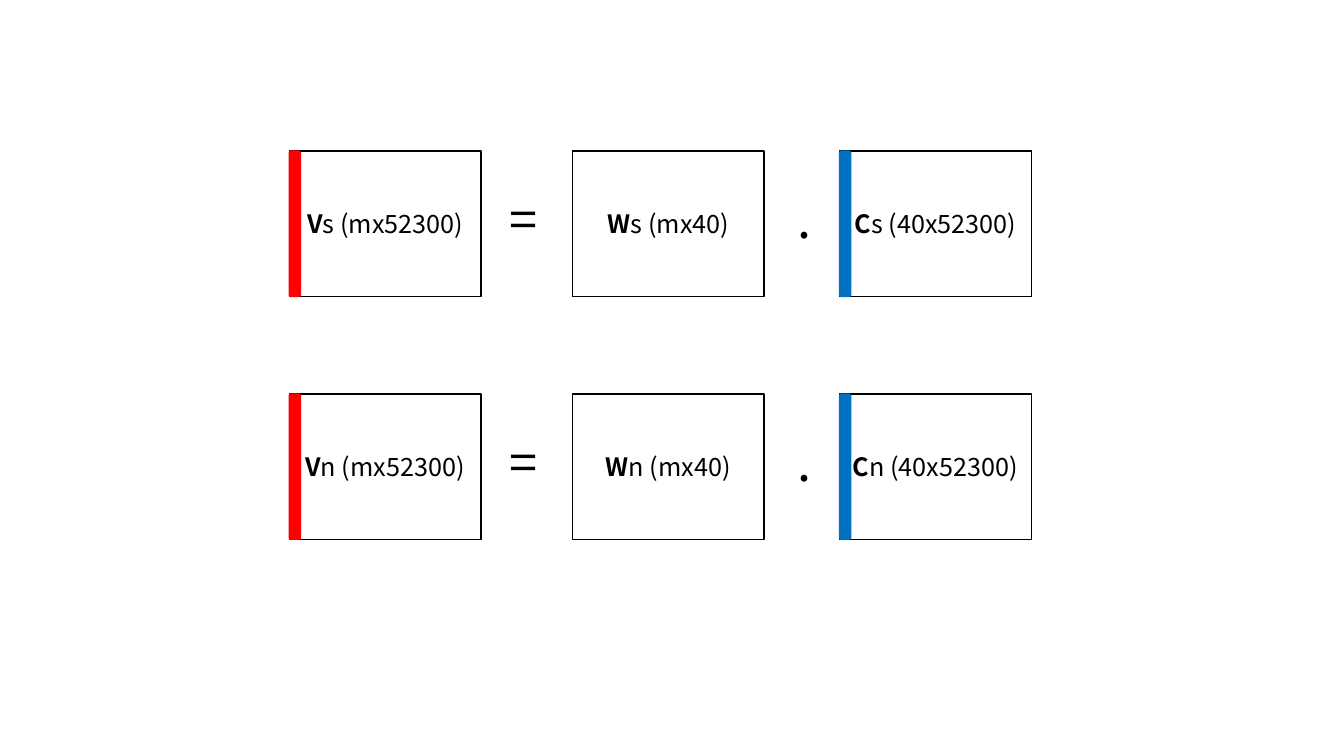
import pptx
import pptx.dml.color
import pptx.enum.shapes
import pptx.enum.text
import pptx.util

Cm = pptx.util.Cm
KIND = pptx.enum.shapes.MSO_SHAPE
ALIGN = pptx.enum.text.PP_ALIGN
HUES = {"ink": "000000", "paper": "FFFFFF", "red": "FF0000", "blue": "0070C0"}
FONT = "Noto Sans CJK KR"

BOX_W, BOX_H = 4.83, 3.66
BAR_W = 0.28
SIGN_DROP = 0.81
ROWS = {"s": 3.81, "n": 9.93}
TERMS = [
    ("V", "mx52300", 7.29, "red"),
    ("W", "mx40", 14.43, None),
    ("C", "40x52300", 21.16, "blue"),
]
SIGNS = [("=", 12.6), (".", 19.84)]


def hue(name):
    return pptx.dml.color.RGBColor.from_string(HUES[name])


def write(para, text, size=18, bold=False, color="ink"):
    run = para.add_run()
    run.text = text
    run.font.name = FONT
    run.font.size = pptx.util.Pt(size)
    run.font.bold = bold
    run.font.color.rgb = hue(color)


class Board:
    """Holds the style and draws on the current slide."""

    def __init__(self, slide):
        self.shapes = slide.shapes

    def block(self, kind, left, top, width, fill, line):
        shape = self.shapes.add_shape(
            kind, Cm(left), Cm(top), Cm(width), Cm(BOX_H))
        shape.shadow.inherit = False
        shape.fill.solid()
        shape.fill.fore_color.rgb = hue(fill)
        shape.line.color.rgb = hue(line)
        shape.line.width = pptx.util.Pt(1)
        return shape

    def matrix(self, left, top, name, rest):
        """Draw a matrix box with its name in bold and its size after it."""
        shape = self.block(KIND.RECTANGLE, left, top, BOX_W, "paper", "ink")
        frame = shape.text_frame
        frame.word_wrap = True
        frame.vertical_anchor = pptx.enum.text.MSO_ANCHOR.MIDDLE
        para = frame.paragraphs[0]
        para.alignment = ALIGN.CENTER
        write(para, name, bold=True)
        write(para, rest)

    def bar(self, left, top, color):
        self.block(KIND.ROUNDED_RECTANGLE, left, top, BAR_W, color, color)

    def sign(self, left, top, text):
        box = self.shapes.add_textbox(Cm(left), Cm(top), Cm(1.83), Cm(1.8))
        frame = box.text_frame
        frame.word_wrap = True
        frame.auto_size = pptx.enum.text.MSO_AUTO_SIZE.SHAPE_TO_FIT_TEXT
        write(frame.paragraphs[0], text, size=36)


def main():
    deck = pptx.Presentation()
    deck.slide_width, deck.slide_height = Cm(33.87), Cm(19.05)
    board = Board(deck.slides.add_slide(deck.slide_layouts[6]))
    for suffix, top in ROWS.items():
        for name, size, left, color in TERMS:
            board.matrix(left, top, name, f"{suffix} ({size})")
        for text, left in SIGNS:
            board.sign(left, top + SIGN_DROP, text)
        for name, size, left, color in TERMS:
            if color:
                board.bar(left, top, color)
    deck.save("out.pptx")


if __name__ == "__main__":
    main()
